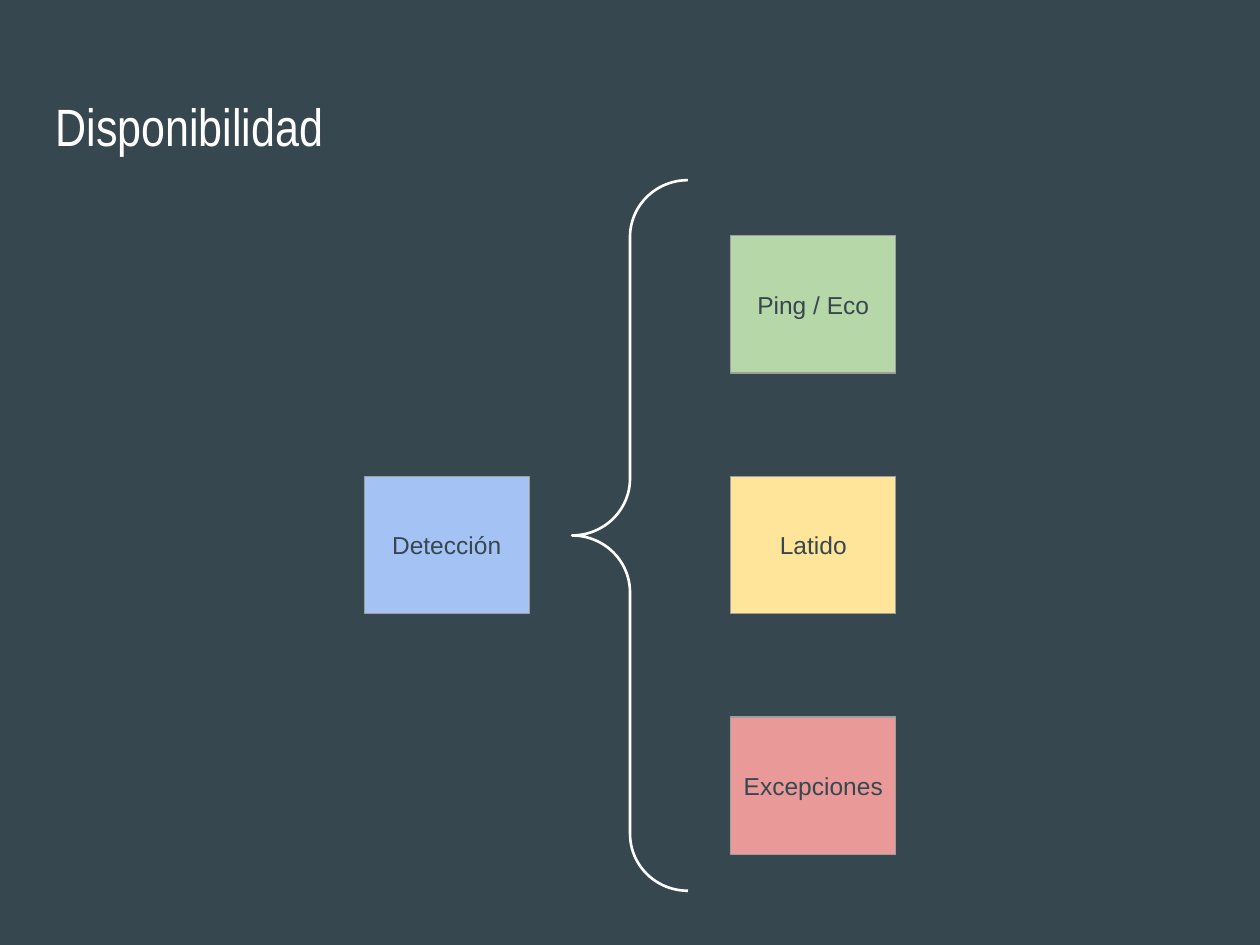
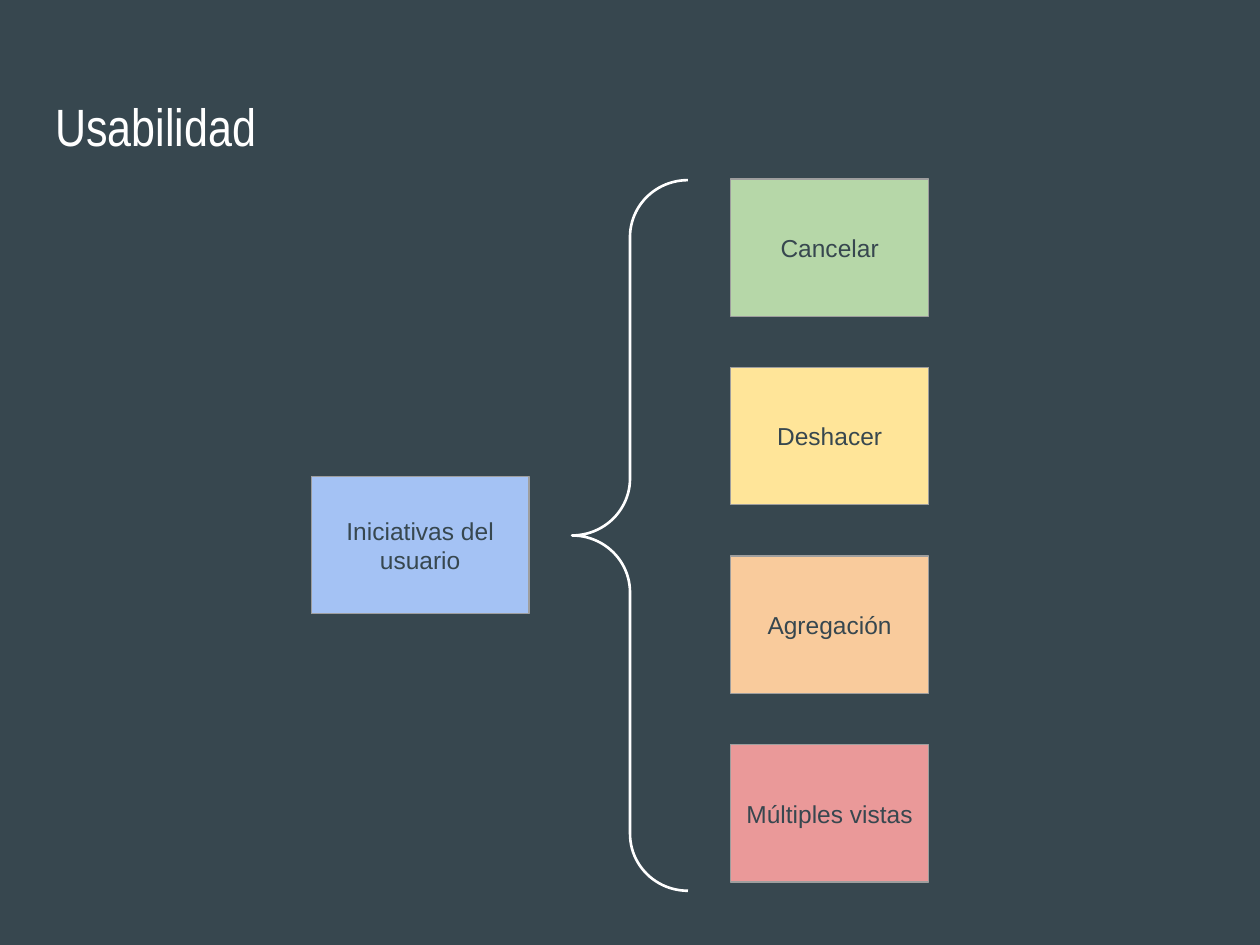
"""Builds two slides that branch a quality attribute into its tactics."""
from pptx import Presentation
from pptx.dml.color import RGBColor
from pptx.enum.shapes import MSO_SHAPE as Shape
from pptx.enum.text import MSO_ANCHOR as Anchor, PP_ALIGN as Align
from pptx.util import Inches, Pt

SLATE = RGBColor(0x37, 0x47, 0x4F)
WHITE = RGBColor(0xFF, 0xFF, 0xFF)
GRAY = RGBColor(0x9E, 0x9E, 0x9E)
BLUE = RGBColor(0xA4, 0xC2, 0xF4)
GREEN = RGBColor(0xB6, 0xD7, 0xA8)
YELLOW = RGBColor(0xFF, 0xE5, 0x99)
ORANGE = RGBColor(0xF9, 0xCB, 0x9C)
RED = RGBColor(0xEA, 0x99, 0x99)

SLIDES = [
    {
        "title": "Disponibilidad",
        "goal": "Detección", "goal_width": 1.31,
        "tactics": [("Ping / Eco", GREEN), ("Latido", YELLOW), ("Excepciones", RED)],
        "tactic_width": 1.31, "first_top": 1.87, "last_top": 5.69,
    },
    {
        "title": "Usabilidad",
        "goal": "Iniciativas del usuario", "goal_width": 1.73,
        "tactics": [("Cancelar", GREEN), ("Deshacer", YELLOW),
                    ("Agregación", ORANGE), ("Múltiples vistas", RED)],
        "tactic_width": 1.57, "first_top": 1.42, "last_top": 5.91,
    },
]

TITLE_AREA = (0.34, 0.65, 9.32, 0.83)
BRACE_AREA = (4.54, 1.43, 0.92, 5.64)
BOX_HEIGHT = 1.09
GOAL_RIGHT, GOAL_TOP = 4.2, 3.78
TACTIC_LEFT = 5.8
MARGIN = Inches(0.1)


def write(shape, text, font_name, size, color, align, anchor):
    frame = shape.text_frame
    frame.text = text
    frame.word_wrap = True
    frame.vertical_anchor = anchor
    frame.margin_left = frame.margin_right = MARGIN
    frame.margin_top = frame.margin_bottom = MARGIN
    para = frame.paragraphs[0]
    para.alignment = align
    font = para.runs[0].font
    font.name, font.size, font.color.rgb = font_name, Pt(size), color


def add_title(page, text):
    title = page.shapes.title
    title.left, title.top, title.width, title.height = map(Inches, TITLE_AREA)
    write(title, text, "Arial Narrow", 30, WHITE, Align.LEFT, Anchor.TOP)


def add_outlined(page, kind, area, line_color, line_width):
    shape = page.shapes.add_shape(kind, *map(Inches, area))
    shape.shadow.inherit = False
    shape.line.color.rgb = line_color
    shape.line.width = Pt(line_width)
    return shape


def add_box(page, text, fill, left, top, width):
    box = add_outlined(page, Shape.RECTANGLE, (left, top, width, BOX_HEIGHT), GRAY, 0.75)
    box.fill.solid()
    box.fill.fore_color.rgb = fill
    write(box, text, "Arial", 14, SLATE, Align.CENTER, Anchor.MIDDLE)


def add_brace(page):
    brace = add_outlined(page, Shape.LEFT_BRACE, BRACE_AREA, WHITE, 1.5)
    brace.fill.background()
    brace.adjustments[0] = 0.49
    brace.adjustments[1] = 0.5


def add_page(deck, content):
    page = deck.slides.add_slide(deck.slide_layouts.get_by_name("Title Only"))
    add_title(page, content["title"])
    goal_width = content["goal_width"]
    add_box(page, content["goal"], BLUE, GOAL_RIGHT - goal_width, GOAL_TOP, goal_width)
    tactics, first_top = content["tactics"], content["first_top"]
    pitch = (content["last_top"] - first_top) / (len(tactics) - 1)
    for row, (text, fill) in enumerate(tactics):
        add_box(page, text, fill, TACTIC_LEFT, first_top + row * pitch, content["tactic_width"])
    add_brace(page)


def main():
    deck = Presentation()
    deck.slide_width, deck.slide_height = Inches(10), Inches(7.5)
    background = deck.slide_master.background.fill
    background.solid()
    background.fore_color.rgb = SLATE
    for content in SLIDES:
        add_page(deck, content)
    deck.save("out.pptx")


if __name__ == "__main__":
    main()
